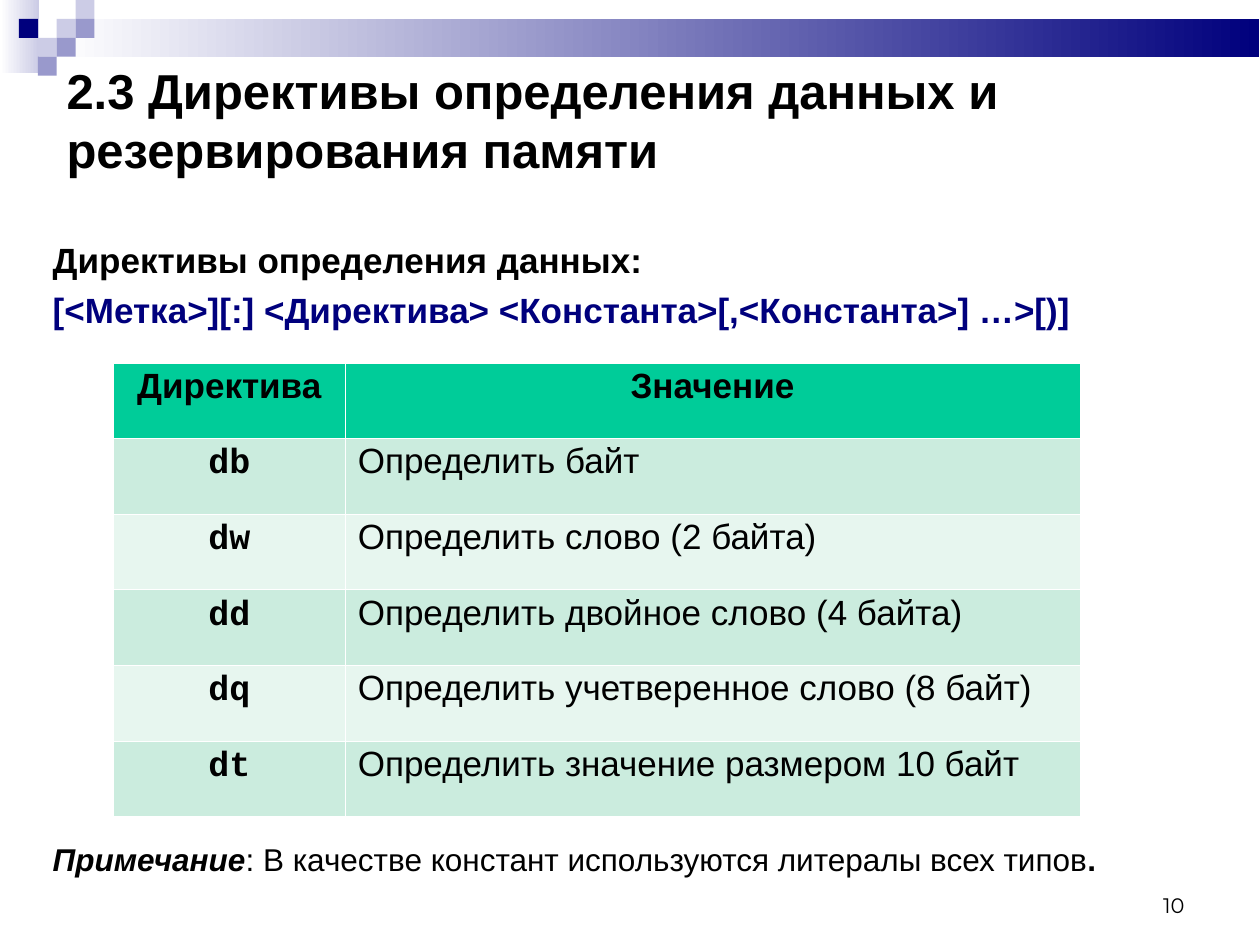
import pptx
import pptx.util
import pptx.dml.color
import pptx.enum.shapes
import pptx.enum.text
import pptx.oxml
import pptx.oxml.ns

WIDTH, HEIGHT = 10, 7.5
SQUARE = 0.15
COLORS = {
    "navy": "00007D", "violet": "9999CC", "lilac": "CCCCE6",
    "white": "FFFFFF", "black": "000000",
    "header": "00CC99", "odd": "CBECDE", "even": "E7F6EF",
}
ALIGN = pptx.enum.text.PP_ALIGN
ANCHOR = pptx.enum.text.MSO_ANCHOR

# Gradient bands: left, top, width, height, end colour
BANDS = [(0, 0, 0.31, 0.58, "lilac"), (0.45, 0.15, 9.54, 0.3, "navy")]
# Corner squares: column, row, colour
SQUARES = [
    (3, 1, "lilac"), (4, 0, "lilac"), (4, 1, "violet"), (2, 2, "lilac"),
    (1, 1, "navy"), (3, 2, "violet"), (2, 3, "violet"),
]

BOLD = {"size": 20, "name": "Arial", "bold": True}
PLAIN = {"size": 20, "name": "Arial", "bold": False}
CODE = {"size": 20, "name": "Courier New", "bold": True}
NOTE = {"size": 18, "name": "Arial", "bold": False}

# Each paragraph is (paragraph format, [(text, font format), ...])
TEXTS = [
    {"at": (7.17, 6.83, 2.33, 0.5), "anchor": ANCHOR.BOTTOM, "paras": [
        ({"alignment": ALIGN.RIGHT}, [("10", {"size": 12, "name": "Montserrat"})]),
    ]},
    {"at": (0.43, 0.43, 9.57, 1.03), "anchor": ANCHOR.MIDDLE, "paras": [
        ({}, [("2.3 Директивы определения данных и резервирования памяти",
               BOLD | {"size": 28})]),
    ]},
    {"at": (0.32, 1.45, 9.65, 1.17), "anchor": ANCHOR.TOP, "inset_top": 0.11, "paras": [
        ({"line_spacing": 2.0}, [("Директивы определения данных:", BOLD)]),
        ({"space_before": pptx.util.Pt(4.5)},
         [("[<Метка>][:] <Директива> <Константа>[,<Константа>] …>[)]",
           BOLD | {"color": "navy"})]),
    ]},
    {"at": (0.32, 6.66, 9.65, 0.62), "anchor": ANCHOR.TOP, "paras": [
        ({"line_spacing": 0.87}, [
            ("Примечание", NOTE | {"bold": True, "italic": True}),
            (": В качестве констант используются литералы всех типов", NOTE),
            (".", NOTE | {"bold": True}),
        ]),
    ]},
]

TABLE_AT = (0.9, 2.88, 7.67, 3.6)
COLUMNS = (1.84, 5.83)
ROWS = [
    ("Директива", "Значение"),
    ("db", "Определить байт"),
    ("dw", "Определить слово (2 байта)"),
    ("dd", "Определить двойное слово (4 байта)"),
    ("dq", "Определить учетверенное слово (8 байт)"),
    ("dt", "Определить значение размером 10 байт"),
]


def rgb(name):
    return pptx.dml.color.RGBColor.from_string(COLORS[name])


def inches(lengths):
    return [pptx.util.Inches(length) for length in lengths]


def paint(fill, color):
    fill.solid()
    fill.fore_color.rgb = rgb(color)


def add_rectangle(page, at):
    shape = page.shapes.add_shape(
        pptx.enum.shapes.MSO_SHAPE.RECTANGLE, *inches(at))
    shape.shadow.inherit = False
    shape.line.fill.background()
    return shape


def write_para(para, layout, spans):
    for key, value in layout.items():
        setattr(para, key, value)
    for text, look in spans:
        span = para.add_run()
        span.text = text
        look = {"color": "black"} | look
        span.font.color.rgb = rgb(look.pop("color"))
        look["size"] = pptx.util.Pt(look["size"])
        for key, value in look.items():
            setattr(span.font, key, value)


def add_text(page, item):
    box = page.shapes.add_textbox(*inches(item["at"]))
    frame = box.text_frame
    frame.word_wrap = True
    frame.vertical_anchor = item["anchor"]
    frame.margin_top = pptx.util.Inches(item.get("inset_top", 0.05))
    for index, (layout, spans) in enumerate(item["paras"]):
        para = frame.add_paragraph() if index else frame.paragraphs[0]
        write_para(para, layout, spans)


def add_borders(cell, widths):
    """Draw white cell edges; widths are points for L, R, T and B."""
    properties = cell._tc.get_or_add_tcPr()
    for index, (side, width) in enumerate(zip("LRTB", widths)):
        properties.insert(index, pptx.oxml.parse_xml(
            f'<a:ln{side} {pptx.oxml.ns.nsdecls("a")} w="{pptx.util.Pt(width)}">'
            f'<a:solidFill><a:srgbClr val="{COLORS["white"]}"/></a:solidFill>'
            f'</a:ln{side}>'))


def add_directive_table(page):
    table = page.shapes.add_table(
        len(ROWS), len(COLUMNS), *inches(TABLE_AT)).table
    for column, width in zip(table.columns, COLUMNS):
        column.width = pptx.util.Inches(width)
    thin, thick = 0.23, 0.75
    for r, texts in enumerate(ROWS):
        color = "header" if r == 0 else ("even", "odd")[r % 2]
        for c, text in enumerate(texts):
            cell = table.cell(r, c)
            paint(cell.fill, color)
            add_borders(cell, (thin, thin, thick if r == 1 else thin,
                               thick if r == 0 else thin))
            look = BOLD if r == 0 else (CODE, PLAIN)[c]
            centred = r == 0 or c == 0
            layout = {"alignment": ALIGN.CENTER if centred else ALIGN.LEFT,
                      "line_spacing": 0.94 if look is CODE else 0.93}
            write_para(cell.text_frame.paragraphs[0], layout, [(text, look)])


def main():
    deck = pptx.Presentation()
    deck.slide_width, deck.slide_height = inches((WIDTH, HEIGHT))
    page = deck.slides.add_slide(deck.slide_layouts[6])

    for *at, color in BANDS:
        fill = add_rectangle(page, at).fill
        fill.gradient()
        fill.gradient_angle = 0
        for stop, name in zip(fill.gradient_stops, ("white", color)):
            stop.color.rgb = rgb(name)
    for column, row, color in SQUARES:
        at = (column * SQUARE, row * SQUARE, SQUARE, SQUARE)
        paint(add_rectangle(page, at).fill, color)

    for item in TEXTS:
        add_text(page, item)
    add_directive_table(page)
    deck.save("out.pptx")


if __name__ == "__main__":
    main()
